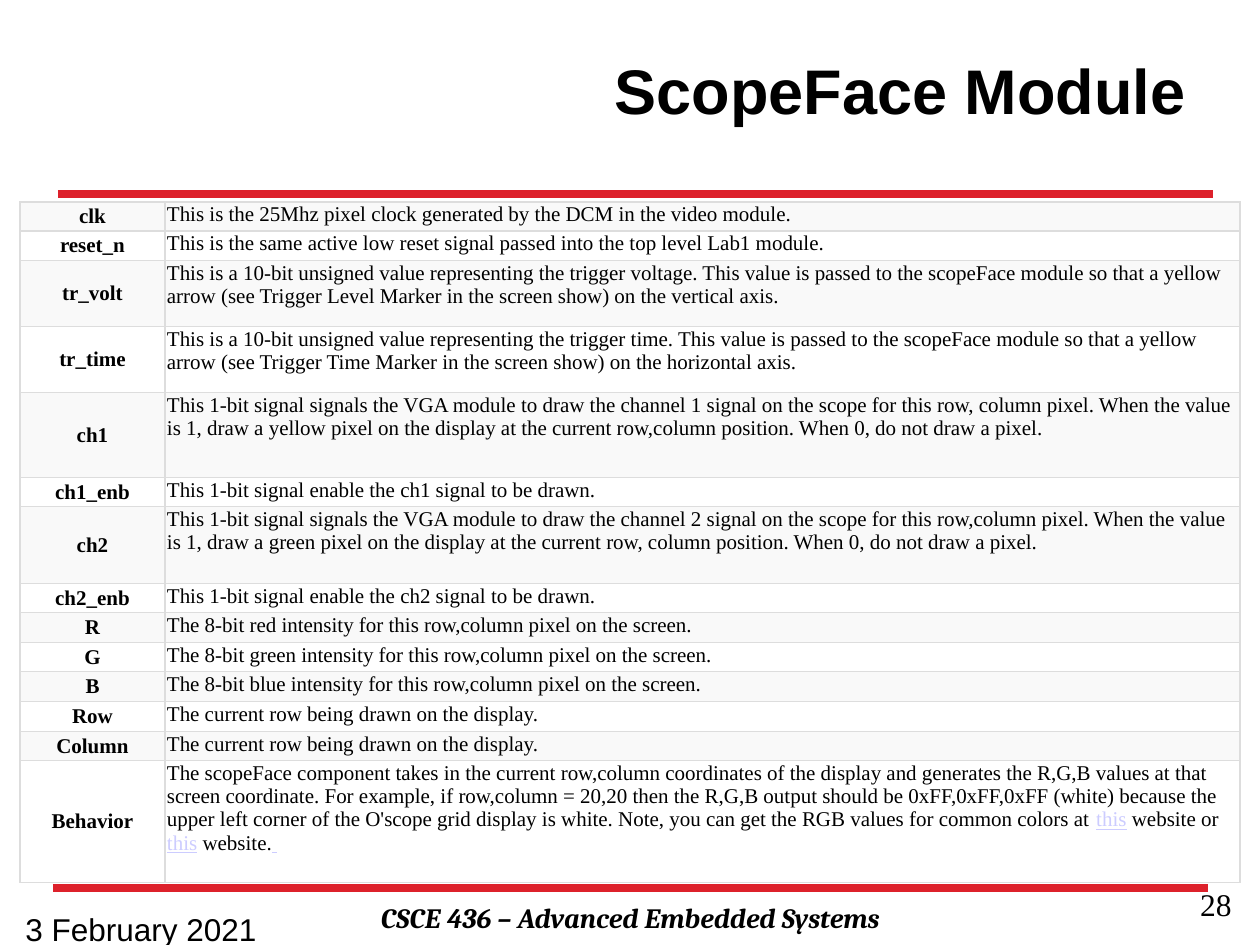
from dataclasses import dataclass
from itertools import pairwise

from lxml.etree import SubElement
from pptx import Presentation
from pptx.dml.color import RGBColor as Rgb
from pptx.enum.shapes import MSO_CONNECTOR as Conn
from pptx.enum.text import MSO_ANCHOR as Anchor, PP_ALIGN as Align
from pptx.oxml import parse_xml
from pptx.oxml.ns import nsdecls, qn
from pptx.util import Emu, Pt


@dataclass(frozen=True)
class Theme:
    ink: str = "000000"
    rule: str = "DD212B"
    link: str = "CCCCFF"
    grid: str = "DDDDDD"
    bands: tuple = ("F9F9F9", "FFFFFF")
    sans: str = "Arial"
    serif: str = "Times New Roman"
    foot: str = "Cambria"
    title: int = 36
    note: int = 18
    course: int = 16
    body: int = 12
    thick: float = 4.5
    thin: float = 0.75


T = Theme()
WIDE, HIGH = 1260, 945

PORTS = [
    ("clk", "This is the 25Mhz pixel clock generated by the DCM in the video module."),
    ("reset_n", "This is the same active low reset signal passed into the top level Lab1 module."),
    ("tr_volt", "This is a 10-bit unsigned value representing the trigger voltage. This value is "
     "passed to the scopeFace module so that a yellow arrow (see Trigger Level Marker in the "
     "screen show) on the vertical axis."),
    ("tr_time", "This is a 10-bit unsigned value representing the trigger time. This value is "
     "passed to the scopeFace module so that a yellow arrow (see Trigger Time Marker in the "
     "screen show) on the horizontal axis."),
    ("ch1", "This 1-bit signal signals the VGA module to draw the channel 1 signal on the scope "
     "for this row, column pixel. When the value is 1, draw a yellow pixel on the display at the "
     "current row,column position. When 0, do not draw a pixel."),
    ("ch1_enb", "This 1-bit signal enable the ch1 signal to be drawn."),
    ("ch2", "This 1-bit signal signals the VGA module to draw the channel 2 signal on the scope "
     "for this row,column pixel. When the value is 1, draw a green pixel on the display at the "
     "current row, column position. When 0, do not draw a pixel."),
    ("ch2_enb", "This 1-bit signal enable the ch2 signal to be drawn."),
    ("R", "The 8-bit red intensity for this row,column pixel on the screen."),
    ("G", "The 8-bit green intensity for this row,column pixel on the screen."),
    ("B", "The 8-bit blue intensity for this row,column pixel on the screen."),
    ("Row", "The current row being drawn on the display."),
    ("Column", "The current row being drawn on the display."),
    ("Behavior", [
        "The scopeFace component takes in the current row,column coordinates of the display and "
        "generates the R,G,B values at that screen coordinate. For example, if row,column = 20,20 "
        "then the R,G,B output should be 0xFF,0xFF,0xFF (white) because the upper left corner of "
        "the O'scope grid display is white. Note, you can get the RGB values for common colors "
        "at ", ("this",), " website or ", ("this",), " website.", (" ",)]),
]
# Row edges, measured down from the top of the table
EDGES = [0, 29, 59, 125, 191, 276, 305, 382, 411, 441, 470, 500, 530, 559, 681]
NAMES = 145


def px(n):
    return Emu(round(n * 914400 / 126))


def write(frame, text, *, size, font, bold=False, italic=False, align=Align.LEFT):
    """Fill the frame with a string or a list of runs; a run in a tuple looks like a link."""
    para = frame.paragraphs[0]
    para.alignment = align
    for part in [text] if isinstance(text, str) else text:
        link = isinstance(part, tuple)
        run = para.add_run()
        run.text = part[0] if link else part
        face = run.font
        face.name, face.size = font, Pt(size)
        face.bold, face.italic, face.underline = bold, italic, link
        face.color.rgb = Rgb.from_string(T.link if link else T.ink)


def label(slide, box, text, *, top=6, anchor=Anchor.TOP, **look):
    frame = slide.shapes.add_textbox(*map(px, box)).text_frame
    frame.word_wrap = True
    frame.vertical_anchor = anchor
    frame.margin_top = px(top)
    write(frame, text, **look)


def rule(slide, x, y, w):
    line = slide.shapes.add_connector(Conn.STRAIGHT, px(x), px(y), px(x + w), px(y))
    line.line.color.rgb = Rgb.from_string(T.rule)
    line.line.width = Pt(T.thick)
    SubElement(line._element.spPr, qn("a:effectLst"))


def border(cell):
    props = cell._tc.get_or_add_tcPr()
    for i, side in enumerate("LRTB"):
        props.insert(i, parse_xml(
            f'<a:ln{side} {nsdecls("a")} w="{Pt(T.thin)}"><a:solidFill>'
            f'<a:srgbClr val="{T.grid}"/></a:solidFill></a:ln{side}>'))


def fill(cell, text, band, **look):
    cell.margin_left = cell.margin_right = px(2)
    cell.margin_top = cell.margin_bottom = px(1)
    cell.fill.solid()
    cell.fill.fore_color.rgb = Rgb.from_string(band)
    border(cell)
    write(cell.text_frame, text, size=T.body, font=T.serif, **look)


def header(slide, x, y, w, h):
    label(slide, (x + 205, y, w - 220, h - 26), "ScopeFace Module", anchor=Anchor.MIDDLE,
          size=T.title, font=T.sans, bold=True, align=Align.RIGHT)
    rule(slide, x, y + h, w)


def ports(slide, x, y, w):
    table = slide.shapes.add_table(len(PORTS), 2, px(x), px(y), px(w), px(EDGES[-1])).table
    table.first_row = table.horz_banding = False
    for col, wide in zip(table.columns, (NAMES, w - NAMES)):
        col.width = px(wide)
    for i, ((name, text), (top, end)) in enumerate(zip(PORTS, pairwise(EDGES))):
        table.rows[i].height = px(end - top)
        band = T.bands[i % 2]
        head = table.cell(i, 0)
        head.vertical_anchor = Anchor.MIDDLE
        fill(head, name, band, bold=True, align=Align.CENTER)
        fill(table.cell(i, 1), text, band)


def footer(slide, x, y, w):
    rule(slide, x, y, w)
    label(slide, (x + 126, y + 7, 903, 47), "CSCE 436 – Advanced Embedded Systems",
          size=T.course, font=T.foot, bold=True, italic=True, align=Align.CENTER)
    label(slide, (x + 897, y - 9, 294, 66), "28",
          size=T.note, font=T.serif, align=Align.RIGHT)
    label(slide, (x - 40, y - 25, 294, 66), "3 February 2021", top=47,
          size=T.note, font=T.sans)


def main():
    deck = Presentation()
    deck.slide_width, deck.slide_height = px(WIDE), px(HIGH)
    slide = deck.slides.add_slide(deck.slide_layouts[6])
    header(slide, 58, 10, 1155, 184)
    footer(slide, 53, 888, 1155)
    ports(slide, 20, 202, 1220)
    deck.save("out.pptx")


if __name__ == "__main__":
    main()
